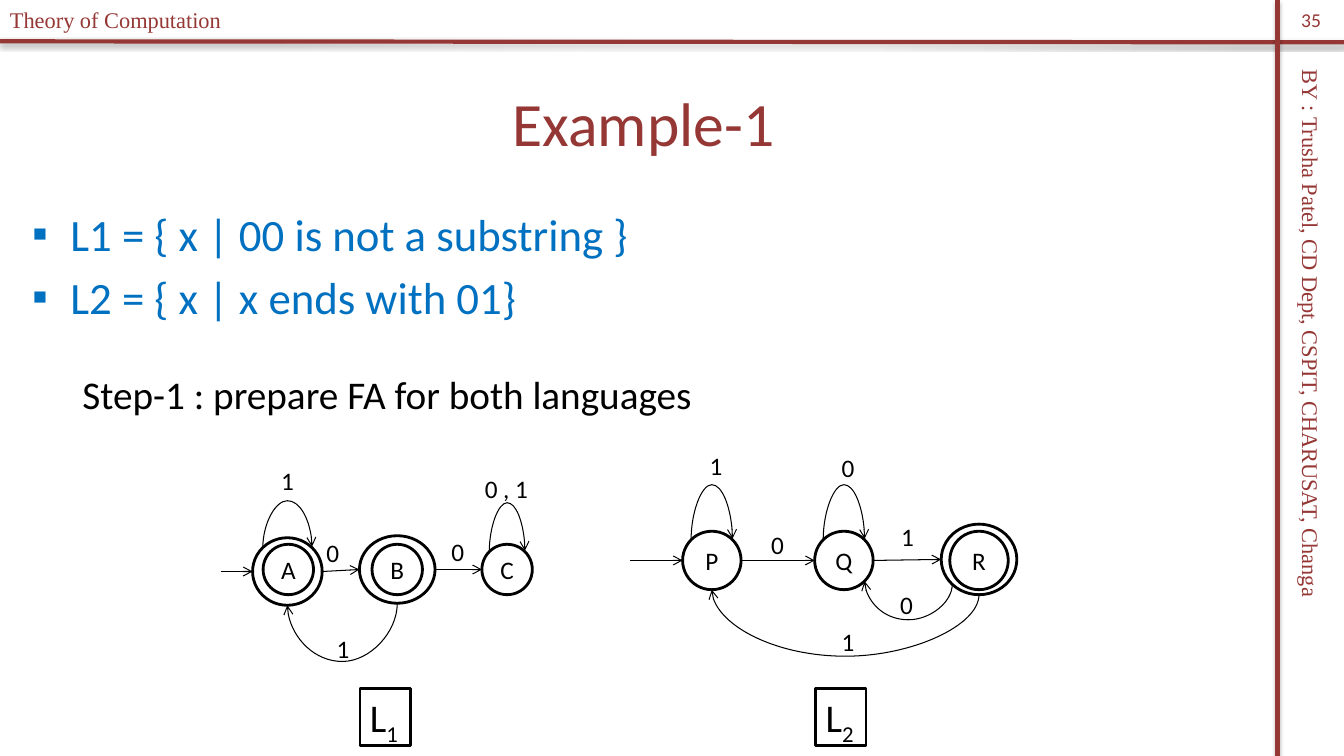
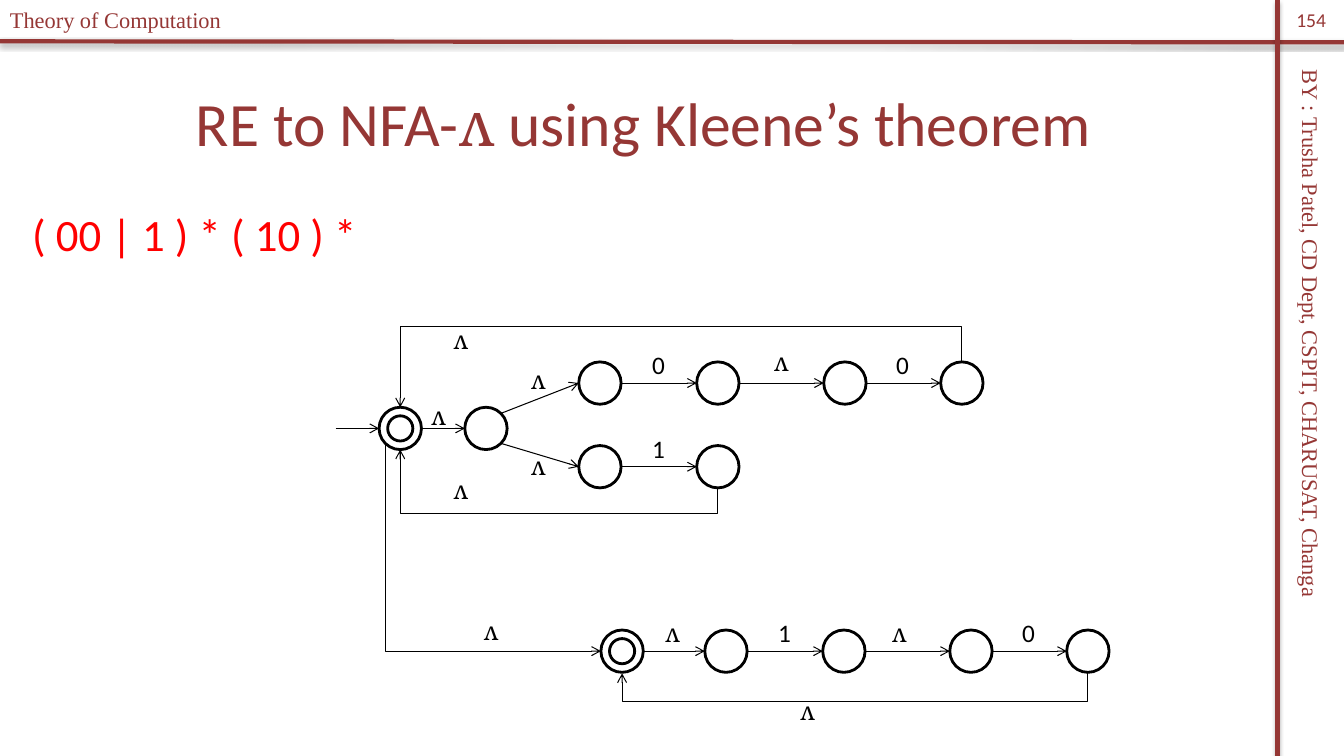
from math import cos, pi, sin

from lxml import etree
from pptx import Presentation
from pptx.dml.color import RGBColor
from pptx.enum.shapes import MSO_CONNECTOR as CONN, MSO_SHAPE as SHAPE
from pptx.enum.text import MSO_ANCHOR as ANCHOR, PP_ALIGN as ALIGN
from pptx.oxml.ns import qn
from pptx.util import Inches, Pt

MAROON = RGBColor(0x95, 0x37, 0x35)
BLUE = RGBColor(0x00, 0x70, 0xC0)
RED = RGBColor(0xFF, 0x00, 0x00)
BLACK = RGBColor(0x00, 0x00, 0x00)
WHITE = RGBColor(0xFF, 0xFF, 0xFF)
SANS, SERIF, SYMBOL = "Calibri", "Times New Roman", "Cambria"

# Connection sites of an ellipse, counter-clockwise from the top
TOP, TOP_LEFT, LEFT, BOTTOM_LEFT, BOTTOM, BOTTOM_RIGHT, RIGHT, TOP_RIGHT = range(8)


def write(p, runs, size, color, font=SANS):
    """Add runs to a paragraph; the symbol ʌ has its own font."""
    for text in runs:
        r = p.add_run()
        r.text = text
        r.font.name = SYMBOL if text == "ʌ" else font
        r.font.size = Pt(size)
        r.font.color.rgb = color


def add_line(s, kind, x1, y1, x2, y2, color=BLACK, width=0.75, arrow=True):
    """Add a connector without shadow, by default with an arrowhead."""
    c = s.shapes.add_connector(kind, Inches(x1), Inches(y1), Inches(x2), Inches(y2))
    c.line.color.rgb = color
    c.line.width = Pt(width)
    if arrow:
        etree.SubElement(c.line._get_or_add_ln(), qn("a:tailEnd"), type="arrow")
    etree.SubElement(c._element.spPr, qn("a:effectLst"))
    return c


# Circles: key, label, centre x, centre y, width, height
FA_CIRCLES = [
    ("A", "", 2.85, 5.67, 0.69, 0.67), ("A inner", "A", 2.86, 5.65, 0.5, 0.5),
    ("B", "", 3.94, 5.65, 0.75, 0.67), ("B inner", "B", 3.94, 5.65, 0.5, 0.5),
    ("C", "C", 5.03, 5.65, 0.5, 0.5),
    ("P", "P", 7.06, 5.56, 0.58, 0.58), ("Q", "Q", 8.37, 5.56, 0.58, 0.58),
    ("R", "", 9.71, 5.55, 0.75, 0.7), ("R inner", "R", 9.71, 5.56, 0.58, 0.58),
]
NFA_CENTRES = {
    "start": (3.97, 4.25), "fork": (4.82, 4.25),
    "z1": (5.95, 3.8), "z2": (7.12, 3.8), "z3": (8.38, 3.8), "z4": (9.54, 3.8),
    "o1": (5.95, 4.63), "o2": (7.12, 4.63),
    "t0": (6.17, 6.46), "t1": (7.2, 6.46), "t2": (8.37, 6.46),
    "t3": (9.63, 6.46), "t4": (10.79, 6.46),
}
NFA_CIRCLES = [(key, "", x, y, 0.42, 0.42) for key, (x, y) in NFA_CENTRES.items()]
NFA_CIRCLES += [(key + " inner", "", *NFA_CENTRES[key], 0.25, 0.25)
                for key in ("start", "t0")]

SLIDES = [
    dict(
        number="35",
        title=["Example-1"],
        # text, size, colour, space before, bullet
        body=[("L1 = { x | 00 is not a substring }", 32, BLUE, 0, True),
              ("L2 = { x | x ends with 01}", 32, BLUE, 6.4, True),
              ("Step-1 : prepare FA for both languages", 28, BLACK, 34, False)],
        circles=FA_CIRCLES,
        # start x, end circle
        entries=[(2.19, "A"), (6.25, "P")],
        # straight arrows: from, site, to, site
        arrows=[(a, RIGHT, b, LEFT) for a, b in ("AB", "BC", "PQ", "QR")],
        # routed arrows: preset, from, site, to, site, turning height, rotation
        routes=[("curvedConnector3", k, TOP_LEFT, k, TOP_RIGHT, y, 90)
                for k, y in (("A", 4.96), ("C", 4.98), ("P", 4.8), ("Q", 4.8))]
        + [("curvedConnector3", "B", BOTTOM, "A", BOTTOM, 6.56, 90),
           ("curvedConnector3", "R", BOTTOM_LEFT, "Q", BOTTOM_RIGHT, 6.15, 90),
           ("curvedConnector3", "R", BOTTOM, "P", BOTTOM, 6.51, 90)],
        labels=[("0", 3.14, 5.28), ("1", 3.24, 6.23), ("0", 4.38, 5.27),
                ("0 , 1", 4.71, 4.65), ("1", 2.69, 4.57), ("1", 6.94, 4.42),
                ("1", 8.84, 5.12), ("1", 8.25, 6.16), ("0", 7.55, 5.2),
                ("0", 8.25, 4.44), ("0", 8.83, 5.8)],
        captions=[("1", 3.57), ("2", 8.09)],
    ),
    dict(
        number="154",
        title=["RE to NFA-", "ʌ", " using Kleene’s theorem"],
        body=[("( 00 | 1 ) * ( 10 ) *", 32, RED, 0, False)],
        circles=NFA_CIRCLES,
        entries=[(3.33, "start")],
        arrows=[(a, RIGHT, b, LEFT) for a, b in (
            ("start", "fork"), ("z1", "z2"), ("z2", "z3"), ("z3", "z4"),
            ("o1", "o2"), ("t0", "t1"), ("t1", "t2"), ("t2", "t3"), ("t3", "t4"))]
        + [("fork", TOP_RIGHT, "z1", LEFT), ("fork", BOTTOM_RIGHT, "o1", LEFT)],
        routes=[("bentConnector3", "z4", TOP, "start", TOP, 3.24, 270),
                ("bentConnector3", "o2", BOTTOM, "start", BOTTOM, 5.09, 90),
                ("bentConnector3", "t4", BOTTOM, "t0", BOTTOM, 6.96, 90),
                ("bentConnector2", "start", BOTTOM_LEFT, "t0", LEFT, 6.46, 270)],
        labels=[("0", 6.37, 3.42), ("0", 8.79, 3.42), ("ʌ", 7.58, 3.39),
                ("1", 6.37, 4.25), ("ʌ", 5.17, 3.57), ("ʌ", 5.17, 4.42),
                ("ʌ", 4.4, 3.17), ("ʌ", 4.18, 3.92), ("ʌ", 4.4, 4.66),
                ("1", 7.62, 6.08), ("0", 10.04, 6.08), ("ʌ", 8.75, 6.08),
                ("ʌ", 6.5, 6.08), ("ʌ", 7.84, 6.85), ("ʌ", 4.7, 6.06)],
        captions=[],
    ),
]

prs = Presentation()
prs.slide_width, prs.slide_height = Inches(13.33), Inches(7.5)

for page in SLIDES:
    s = prs.slides.add_slide(prs.slide_layouts[6])

    # Bands with a soft shadow
    for ends in ((0, 0.41, 13.33, 0.42), (12.67, 0, 12.67, 7.5)):
        band = add_line(s, CONN.STRAIGHT, *ends, MAROON, 3, False)
        shadow = etree.SubElement(band._element.spPr.find(qn("a:effectLst")),
                                  qn("a:outerShdw"), blurRad=str(Pt(3.1)),
                                  dist=str(Pt(1.8)), dir="5400000", rotWithShape="0")
        black = etree.SubElement(shadow, qn("a:srgbClr"), val=str(BLACK))
        etree.SubElement(black, qn("a:alpha"), val="35000")

    # Header, side text, title and slide number
    for runs, box, size, font, align, anchor, turn in (
        (["Theory of Computation"], (0, 0.01, 3.29, 0.37), 16, SERIF,
         ALIGN.LEFT, ANCHOR.TOP, 0),
        (["BY : Trusha Patel, CD Dept, CSPIT, CHARUSAT, Changa"],
         (9.79, 3.62, 6.42, 0.37), 16, SERIF, ALIGN.LEFT, ANCHOR.TOP, 90),
        (page["title"], (0.22, 0.58, 12.33, 1.25), 44, SANS,
         ALIGN.CENTER, ANCHOR.MIDDLE, 0),
        ([page["number"]], (12.67, 0, 0.67, 0.4), 14, SANS,
         ALIGN.CENTER, ANCHOR.MIDDLE, 0),
    ):
        sp = s.shapes.add_textbox(*map(Inches, box))
        sp.rotation = turn
        tf = sp.text_frame
        tf.word_wrap = True
        tf.vertical_anchor = anchor
        tf.paragraphs[0].alignment = align
        write(tf.paragraphs[0], runs, size, MAROON, font)

    # Body
    tf = s.shapes.add_textbox(*map(Inches, (0.22, 2, 12.33, 1.9))).text_frame
    tf.word_wrap = True
    for i, (text, size, color, before, bullet) in enumerate(page["body"]):
        p = tf.add_paragraph() if i else tf.paragraphs[0]
        p.space_before = Pt(before)
        pPr = p._p.get_or_add_pPr()
        if bullet:
            pPr.set("marL", str(Inches(0.38)))
            pPr.set("indent", str(-Inches(0.38)))
            etree.SubElement(pPr, qn("a:buFont"), typeface="Arial")
            etree.SubElement(pPr, qn("a:buChar"), char="▪")
        elif i:
            pPr.set("marL", str(Inches(0.5)))
        write(p, [text], size, color)

    # State circles
    states, sites = {}, {}
    for key, label, x, y, w, h in page["circles"]:
        sp = s.shapes.add_shape(SHAPE.OVAL, Inches(x - w / 2), Inches(y - h / 2),
                                Inches(w), Inches(h))
        sp.shadow.inherit = False
        sp.fill.solid()
        sp.fill.fore_color.rgb = WHITE
        sp.line.color.rgb = BLACK
        sp.line.width = Pt(2)
        if label:
            tf = sp.text_frame
            tf.margin_left = tf.margin_right = tf.margin_top = tf.margin_bottom = 0
            tf.vertical_anchor = ANCHOR.MIDDLE
            tf.paragraphs[0].alignment = ALIGN.CENTER
            write(tf.paragraphs[0], [label], 18, BLACK)
        states[key] = sp
        sites[key] = [(x - w / 2 * sin(i * pi / 4), y - h / 2 * cos(i * pi / 4))
                      for i in range(8)]

    # Entry arrows
    for x, key in page["entries"]:
        end_x, y = sites[key][LEFT]
        add_line(s, CONN.STRAIGHT, x, y, end_x, y)

    # Transitions, glued to the circles
    straight = [("line", *arrow, None, 0) for arrow in page["arrows"]]
    for preset, a, i, b, j, turn_y, rot in straight + page["routes"]:
        (x1, y1), (x2, y2) = sites[a][i], sites[b][j]
        kind = (CONN.STRAIGHT if preset == "line" else
                CONN.CURVE if preset.startswith("curved") else CONN.ELBOW)
        c = add_line(s, kind, x1, y1, x2, y2)
        glue = c._element.nvCxnSpPr.cNvCxnSpPr
        for tag, key, site in (("a:stCxn", a, i), ("a:endCxn", b, j)):
            etree.SubElement(glue, qn(tag), id=str(states[key].shape_id), idx=str(site))
        if preset == "line":
            continue

        # A route leaves vertically: the frame lies on its side and is rotated
        if abs(y2 - y1) < 0.01:
            y2 = y1 + (0.01 if turn_y > y1 else -0.01)
        w, h = abs(y2 - y1), abs(x2 - x1)
        c.left, c.top = Inches((x1 + x2 - w) / 2), Inches((y1 + y2 - h) / 2)
        c.width, c.height = Inches(w), Inches(h)
        xfrm = c._element.spPr.find(qn("a:xfrm"))
        xfrm.set("rot", str(rot * 60000))
        xfrm.set("flipH", str(int((y1 > y2) != (rot == 270))))
        xfrm.set("flipV", str(int((x1 < x2) != (rot == 270))))
        geom = c._element.spPr.find(qn("a:prstGeom"))
        geom.set("prst", preset)
        if preset.endswith("3"):
            adj = round((turn_y - y1) / (y2 - y1) * 100000)
            etree.SubElement(geom.find(qn("a:avLst")), qn("a:gd"),
                             name="adj1", fmla=f"val {adj}")

    # Transition labels
    for text, x, y in page["labels"]:
        width = 0.33 if len(text) == 1 else 0.64
        tf = s.shapes.add_textbox(*map(Inches, (x, y, width, 0.4))).text_frame
        tf.word_wrap = False
        write(tf.paragraphs[0], [text], 18, BLACK)

    # Framed language names
    for index, x in page["captions"]:
        sp = s.shapes.add_textbox(*map(Inches, (x, 6.83, 0.5, 0.57)))
        sp.fill.solid()
        sp.fill.fore_color.rgb = WHITE
        sp.line.color.rgb = BLACK
        sp.line.width = Pt(2)
        tf = sp.text_frame
        tf.word_wrap = False
        p = tf.paragraphs[0]
        write(p, ["L", index], 28, BLACK)
        p.runs[1].font._element.set("baseline", "-25000")

prs.save("out.pptx")
